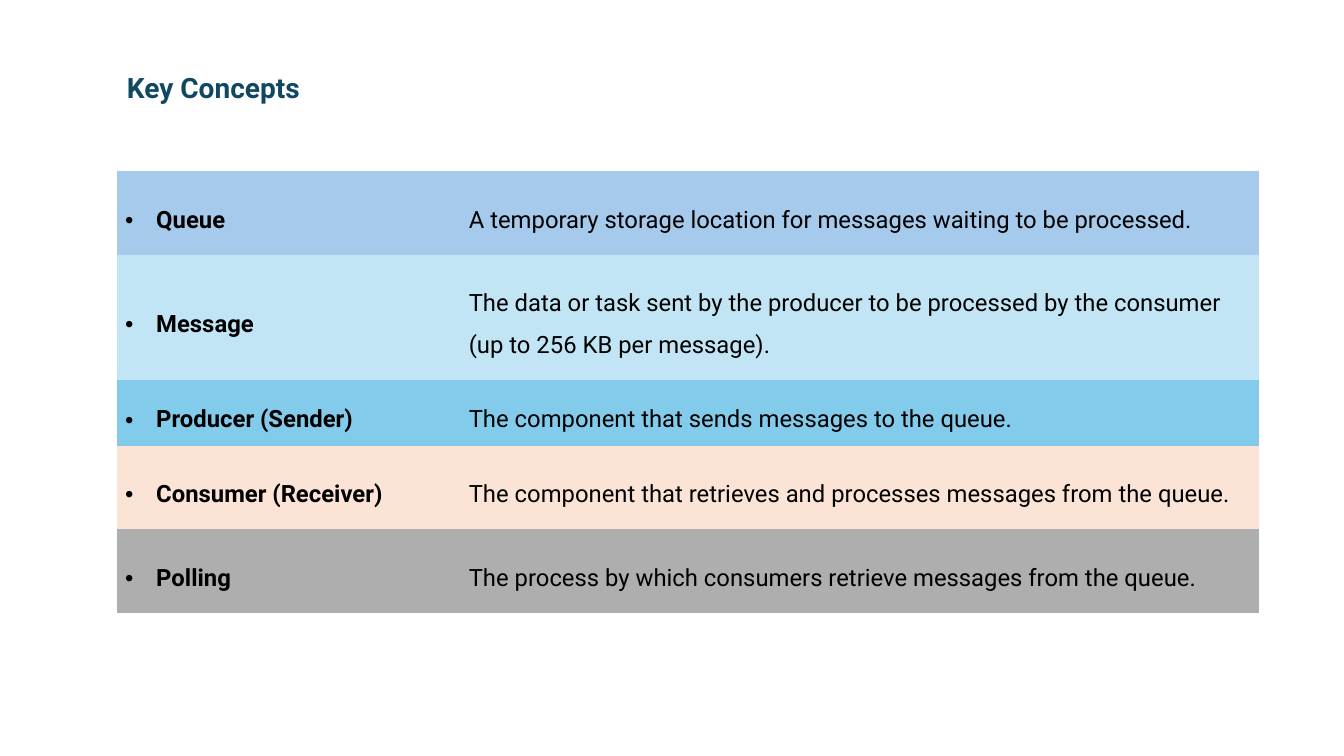
import pptx
import pptx.dml.color
import pptx.enum.text
import pptx.oxml.ns
import pptx.util
from lxml import etree
from pptx.util import Inches

CONCEPTS = [
    ("Queue", "A temporary storage location for messages waiting to be processed.", "A6CAEC", 0.83),
    ("Message", "The data or task sent by the producer to be processed by the consumer "
                "(up to 256 KB per message).", "C1E5F5", 1.24),
    ("Producer (Sender)", "The component that sends messages to the queue.", "83CBEB", 0.65),
    ("Consumer (Receiver)", "The component that retrieves and processes messages from the queue.",
     "FBE3D6", 0.83),
    ("Polling", "The process by which consumers retrieve messages from the queue.", "AEAEAE", 0.83),
]
COLUMN_WIDTHS = [3.41, 7.92]


def color(value):
    return pptx.dml.color.RGBColor.from_string(value)


class ConceptPage:
    font = "Roboto"
    title_color = "104862"
    text_color = "000000"

    def __init__(self, deck):
        self.page = deck.slides.add_slide(deck.slide_layouts[6])

    def style(self, para, size, fill, bold):
        for span in para.runs:
            span.font.name = self.font
            span.font.size = pptx.util.Pt(size)
            span.font.bold = bold
            span.font.color.rgb = color(fill)

    def title(self, text, left, top, width, height):
        box = self.page.shapes.add_textbox(Inches(left), Inches(top), Inches(width), Inches(height))
        frame = box.text_frame
        frame.word_wrap = True
        frame.text = text
        self.style(frame.paragraphs[0], 20, self.title_color, True)

    def bullet(self, para):
        properties = para._p.get_or_add_pPr()
        properties.set("marL", str(Inches(0.31)))
        properties.set("indent", str(Inches(-0.31)))
        etree.SubElement(properties, pptx.oxml.ns.qn("a:buFont")).set("typeface", "Arial")
        etree.SubElement(properties, pptx.oxml.ns.qn("a:buChar")).set("char", "•")

    def hide_borders(self, cell):
        properties = cell._tc.get_or_add_tcPr()
        for index, side in enumerate(("lnL", "lnR", "lnT", "lnB")):
            line = etree.Element(pptx.oxml.ns.qn("a:" + side))
            etree.SubElement(line, pptx.oxml.ns.qn("a:noFill"))
            properties.insert(index, line)

    def cell(self, cell, text, fill, is_term):
        cell.fill.solid()
        cell.fill.fore_color.rgb = color(fill)
        self.hide_borders(cell)
        cell.vertical_anchor = pptx.enum.text.MSO_ANCHOR.MIDDLE
        cell.margin_left = cell.margin_right = Inches(0.08)
        cell.margin_top = cell.margin_bottom = Inches(0.04)
        cell.text_frame.text = text
        para = cell.text_frame.paragraphs[0]
        para.line_spacing = 1.5
        self.style(para, 17, self.text_color, is_term)
        if is_term:
            self.bullet(para)

    def concept_table(self, concepts, left, top):
        height = sum(concept[3] for concept in concepts)
        table = self.page.shapes.add_table(
            len(concepts), len(COLUMN_WIDTHS), Inches(left), Inches(top),
            Inches(sum(COLUMN_WIDTHS)), Inches(height)).table
        table.first_row = table.horz_banding = False
        for column, width in zip(table.columns, COLUMN_WIDTHS):
            column.width = Inches(width)
        for row, (term, meaning, fill, row_height) in zip(table.rows, concepts):
            row.height = Inches(row_height)
            self.cell(row.cells[0], term, fill, True)
            self.cell(row.cells[1], meaning, fill, False)


def main():
    deck = pptx.Presentation()
    deck.slide_width, deck.slide_height = Inches(13.33), Inches(7.5)
    page = ConceptPage(deck)
    page.concept_table(CONCEPTS, 1.16, 1.7)
    page.title("Key Concepts", 1.16, 0.65, 3.72, 0.77)
    deck.save("out.pptx")


if __name__ == "__main__":
    main()
